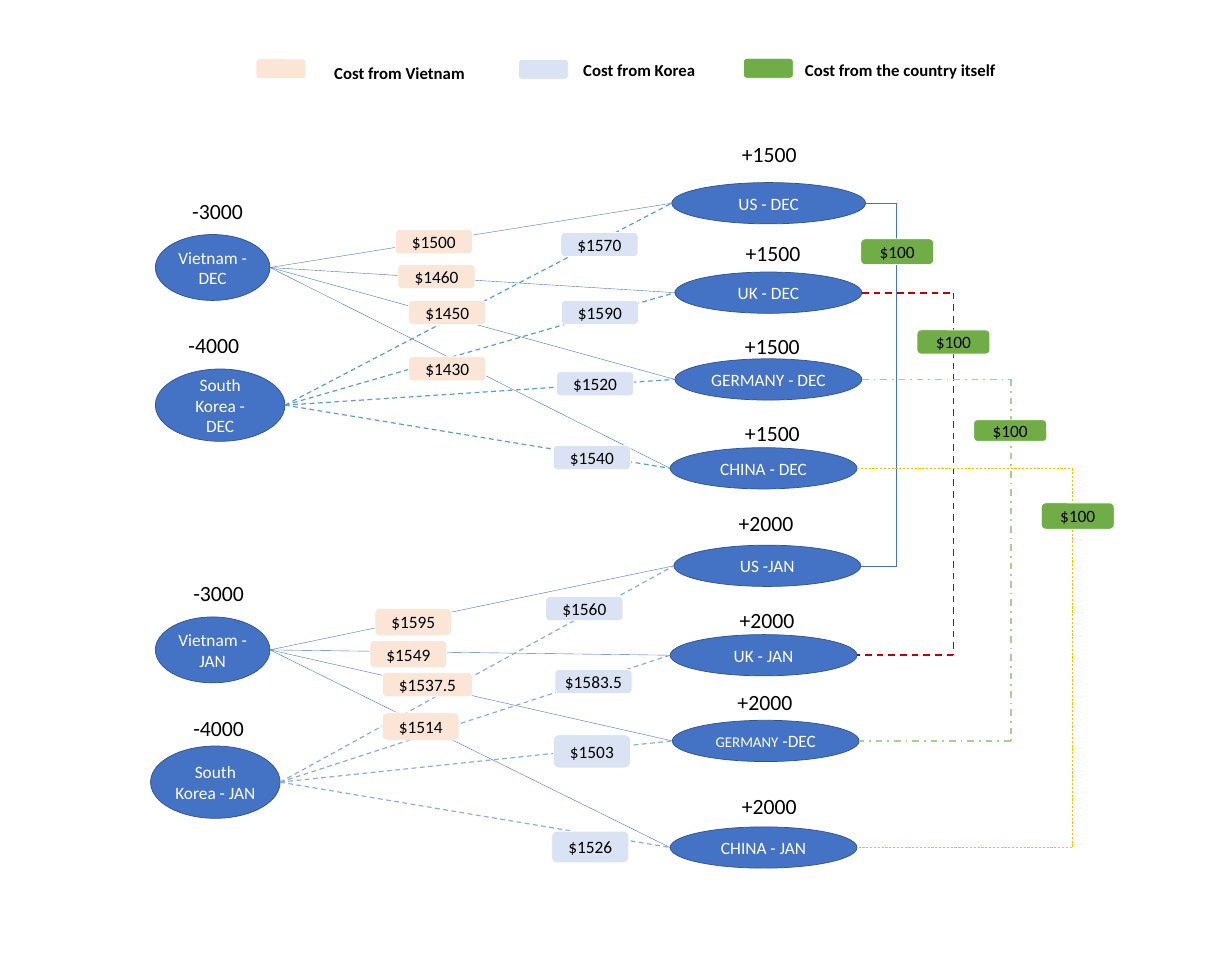
from lxml import etree
from pptx import Presentation
from pptx.dml.color import RGBColor
from pptx.enum import dml, shapes, text
from pptx.oxml.ns import qn
from pptx.util import Inches, Pt

# ---- Content: places are (left, top) or (left, top, width, height) in inches
FONT = "Calibri"
BLACK, WHITE, NODE, NODE_EDGE = "000000", "FFFFFF", "4472C4", "325491"
VIETNAM, KOREA, LOCAL = "FBE5D6", "DAE3F3", "70AD47"
DASH, DASH_DOT = dml.MSO_LINE.DASH, dml.MSO_LINE.DASH_DOT
MARKET_H, TAG_SIZE = 0.77, (1.44, 0.45)

# swatch place, colour, caption, caption place
legend = [
    ((4.78, 1.1), VIETNAM, "Cost from Vietnam", (6.14, 1.13, 3.04, 0.48)),
    ((9.68, 1.11), KOREA, "Cost from Korea", (10.79, 1.07, 2.42, 0.48)),
    ((13.88, 1.09), LOCAL, "Cost from the country itself", (14.93, 1.07, 3.8, 0.48)),
]

# markets: label, (left, top, width), demand, demand place
# suppliers: label, place, supply, supply place, tag colour, route style,
#            then one (cost, tag place) for each market
december = {
    "markets": [
        ("US - DEC", (12.54, 3.41, 3.62), "+1500", (13.75, 2.58)),
        ("UK - DEC", (12.6, 5.08, 3.49), "+1500", (13.82, 4.43)),
        ("GERMANY - DEC", (12.6, 6.7, 3.49), "+1500", (13.81, 6.16)),
        ("CHINA - DEC", (12.51, 8.36, 3.49), "+1500", (13.81, 7.78)),
    ],
    "suppliers": [
        ("Vietnam - DEC", (2.9, 4.38, 2.14, 1.23), "-3000", (3.49, 3.64),
         VIETNAM, ("4472C4", 0.5, None),
         [("$1500", (7.38, 4.29)), ("$1460", (7.43, 4.94)),
          ("$1450", (7.63, 5.61)), ("$1430", (7.63, 6.66))]),
        ("South Korea - DEC", (2.9, 6.89, 2.42, 1.35), "-4000", (3.42, 6.14),
         KOREA, ("5B9BD5", 1.6, DASH),
         [("$1570", (10.47, 4.34)), ("$1590", (10.48, 5.61)),
          ("$1520", (10.39, 6.94)), ("$1540", (10.33, 8.32))]),
    ],
}
january = {
    "markets": [
        ("US -JAN", (12.58, 10.18, 3.49), "+2000", (13.69, 9.47)),
        ("UK - JAN", (12.51, 11.85, 3.49), "+2000", (13.71, 11.28)),
        ([("GERMANY", 20), (" -DEC", 23.3)], (12.55, 13.45, 3.49), "+2000", (13.67, 12.81)),
        ("CHINA - JAN", (12.51, 15.44, 3.49), "+2000", (13.75, 14.75)),
    ],
    "suppliers": [
        ("Vietnam - JAN", (2.9, 11.52, 2.14, 1.23), "-3000", (3.51, 10.77),
         VIETNAM, ("4472C4", 0.5, None),
         [("$1595", (7, 11.36, 1.43, 0.51)), ("$1549", (6.91, 11.96, 1.43, 0.51)),
          ("$1537.5", (7.14, 12.56, 1.68, 0.45)), ("$1514", (7.14, 13.31, 1.43, 0.51))]),
        ("South Korea - JAN", (2.81, 13.93, 2.42, 1.35), "-4000", (3.51, 13.3),
         KOREA, ("8FAADC", 1.6, DASH),
         [("$1560", (10.19, 11.14)), ("$1583.5", (10.36, 12.5)),
          ("$1503", (10.33, 13.72, 1.44, 0.62)), ("$1526", (10.3, 15.52, 1.44, 0.59))]),
    ],
}

# December-to-January links, one per market: x of the upright, style, cost, tag place
carry_over = [
    (16.74, ("4472C4", 0.5, None), "$100", (16.07, 4.46, 1.36, 0.48)),
    (17.8, ("C00000", 2.25, DASH), "$100", (17.12, 6.16, 1.36, 0.45)),
    (18.87, ("A9D18E", 2.25, DASH_DOT), "$100", (18.18, 7.84, 1.36, 0.4)),
    (20.01, ("FFC000", 0.75, DASH), "$100", (19.44, 9.39, 1.36, 0.49)),
]

deck = Presentation()
deck.slide_width, deck.slide_height = Inches(23), Inches(18)
slide = deck.slides.add_slide(deck.slide_layouts[6])


# ---- Drawing helpers
def rgb(value):
    return RGBColor.from_string(value)


def write(frame, content, size=23.3, color=BLACK, bold=False, align=text.PP_ALIGN.CENTER):
    """Write a string, or a list of (string, size) pieces, as one paragraph."""
    frame.word_wrap = True
    paragraph = frame.paragraphs[0]
    paragraph.alignment = align
    for piece, points in [(content, size)] if isinstance(content, str) else content:
        run = paragraph.add_run()
        run.text = piece
        run.font.name, run.font.size, run.font.bold = FONT, Pt(points), bold
        run.font.color.rgb = rgb(color)


def caption(content, place, **style):
    box = slide.shapes.add_textbox(*map(Inches, place))
    write(box.text_frame, content, align=text.PP_ALIGN.LEFT, **style)


def filled(kind, place, fill, edge, content="", color=BLACK):
    shape = slide.shapes.add_shape(kind, *map(Inches, place))
    shape.shadow.inherit = False
    shape.fill.solid()
    shape.fill.fore_color.rgb = rgb(fill)
    shape.line.color.rgb = rgb(edge)
    shape.line.width = Pt(1)
    shape.text_frame.vertical_anchor = text.MSO_ANCHOR.MIDDLE
    if content:
        write(shape.text_frame, content, color=color)


def node(content, place):
    filled(shapes.MSO_SHAPE.OVAL, place, NODE, NODE_EDGE, content, WHITE)


def tag(place, fill, content=""):
    place = place if len(place) == 4 else place + TAG_SIZE
    filled(shapes.MSO_SHAPE.ROUNDED_RECTANGLE, place, fill, WHITE, content)


def link(start, end, style):
    color, width, dash = style
    line = slide.shapes.add_connector(shapes.MSO_CONNECTOR.STRAIGHT, *map(Inches, start + end))
    line.line.color.rgb = rgb(color)
    line.line.width = Pt(width)
    if dash:
        line.line.dash_style = dash
    etree.SubElement(line._element.spPr, qn("a:effectLst"))


def left_of(place):
    return place[0], place[1] + place[3] / 2


def right_of(place):
    return place[0] + place[2], place[1] + place[3] / 2


# ---- Legend
for swatch, color, meaning, place in legend:
    tag(swatch + (0.93, 0.37), color)
    caption(meaning, place, size=22.5, bold=True)

# ---- Supply networks: nodes, routes, then cost tags on top
for month in (december, january):
    market_places = [place + (MARKET_H,) for _, place, _, _ in month["markets"]]
    for (market, _, demand, spot), place in zip(month["markets"], market_places):
        node(market, place)
        caption(demand, spot + (1.6, 0.59), size=29.2)
    for supplier, place, supply, spot, _, style, _ in month["suppliers"]:
        node(supplier, place)
        caption(supply, spot + (1.21, 0.59), size=29.2)
        for market_place in market_places:
            link(right_of(place), left_of(market_place), style)
    for *_, color, _, costs in month["suppliers"]:
        for cost, place in costs:
            tag(place, color, cost)

# ---- Carry-over links from each December market to its January one
for (x, style, _, _), before, after in zip(carry_over, december["markets"], january["markets"]):
    start, end = (right_of(market[1] + (MARKET_H,)) for market in (before, after))
    corners = [start, (x, start[1]), (x, end[1]), end]
    for near, far in zip(corners, corners[1:]):
        link(near, far, style)
for _, _, cost, place in carry_over:
    tag(place, LOCAL, cost)

deck.save("out.pptx")
